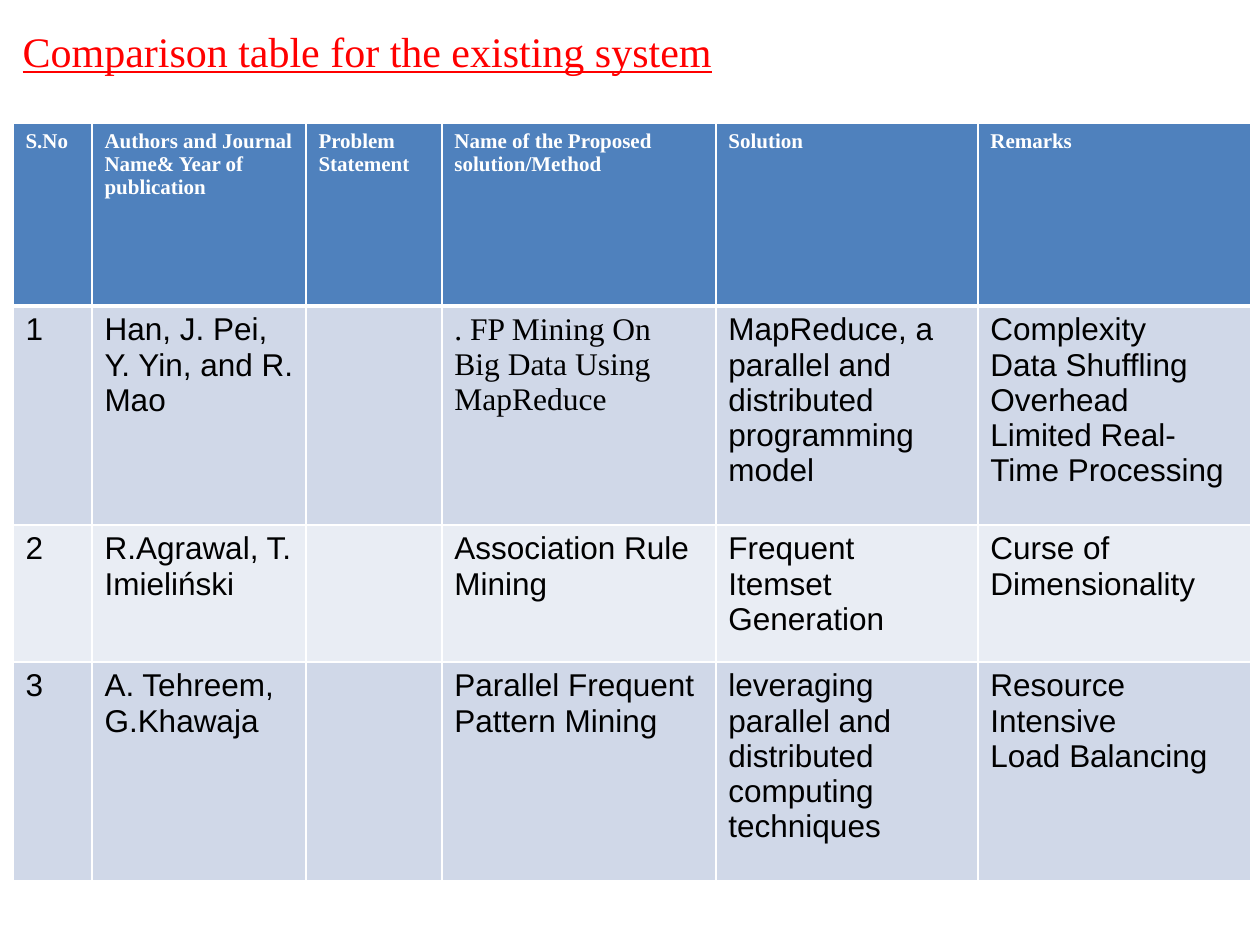
from typing import NamedTuple

from lxml.etree import SubElement
from pptx import Presentation
from pptx.dml.color import RGBColor
from pptx.enum.text import MSO_ANCHOR, PP_ALIGN
from pptx.oxml.ns import qn
from pptx.util import Emu, Pt

PX = 914400 / 126
RED = RGBColor(0xFF, 0x00, 0x00)
WHITE = RGBColor(0xFF, 0xFF, 0xFF)
BLACK = RGBColor(0x00, 0x00, 0x00)
BLUE = RGBColor(0x4F, 0x81, 0xBD)
BAND_DARK = RGBColor(0xD0, 0xD8, 0xE8)
BAND_LIGHT = RGBColor(0xE9, 0xED, 0xF4)
SERIF, SANS = "Times New Roman", "Arial"


class Style(NamedTuple):
    font: str
    size: int
    color: RGBColor
    bold: bool = False
    underline: bool = False


class Row(NamedTuple):
    height: int
    cells: list[str]


TITLE = Style(SERIF, 24, RED, underline=True)
HEADER = Style(SERIF, 12, WHITE, bold=True)
BODY = Style(SANS, 18, BLACK)
METHOD_SERIF = BODY._replace(font=SERIF)

COL_WIDTHS = [79, 214, 136, 274, 262, 273]
ROWS = [
    Row(183, ["S.No", "Authors and Journal Name& Year of publication", "Problem Statement",
              "Name of the Proposed solution/Method", "Solution", "Remarks"]),
    Row(219, ["1", "Han, J. Pei, Y. Yin, and R. Mao", "",
              ". FP Mining On Big Data Using MapReduce",
              "MapReduce, a parallel and distributed programming model",
              "Complexity\nData Shuffling Overhead\nLimited Real-Time Processing"]),
    Row(137, ["2", "R.Agrawal, T. Imieliński", "", "Association Rule Mining",
              "Frequent Itemset Generation", "Curse of Dimensionality"]),
    Row(219, ["3", "A. Tehreem, G.Khawaja", "", "Parallel Frequent Pattern Mining",
              "leveraging parallel and distributed computing techniques",
              "Resource Intensive\nLoad Balancing"]),
]


def px(n: int) -> Emu:
    return Emu(round(n * PX))


def write(tf, text: str, style: Style) -> None:
    """Write one paragraph per line of text."""
    for i, line in enumerate(text.split("\n")):
        p = tf.add_paragraph() if i else tf.paragraphs[0]
        p.alignment = PP_ALIGN.LEFT
        r = p.add_run()
        r.text = line
        font = r.font
        font.name, font.size = style.font, Pt(style.size)
        font.bold, font.underline = style.bold, style.underline
        font.color.rgb = style.color


def set_borders(cell, top: int, bottom: int) -> None:
    """Add white borders; they must come before the fill is set."""
    tc_pr = cell._tc.get_or_add_tcPr()
    for side, width in (("L", 1), ("R", 1), ("T", top), ("B", bottom)):
        ln = SubElement(tc_pr, qn(f"a:ln{side}"), w=str(Pt(width)))
        fill = SubElement(ln, qn("a:solidFill"))
        SubElement(fill, qn("a:srgbClr"), val=str(WHITE))


def add_title(s, text: str) -> None:
    sp = s.shapes.title
    sp.left, sp.top, sp.width, sp.height = px(10), px(19), px(1197), px(63)
    tf = sp.text_frame
    tf.word_wrap = True
    tf.vertical_anchor = MSO_ANCHOR.TOP
    write(tf, text, TITLE)


def add_comparison_table(s) -> None:
    height = sum(row.height for row in ROWS)
    table = s.shapes.add_table(len(ROWS), len(COL_WIDTHS), px(13), px(123),
                               px(sum(COL_WIDTHS)), px(height)).table
    for col, width in zip(table.columns, COL_WIDTHS):
        col.width = px(width)
    for i, row in enumerate(ROWS):
        table.rows[i].height = px(row.height)
        for j, text in enumerate(row.cells):
            cell = table.cell(i, j)
            set_borders(cell, top=3 if i == 1 else 1, bottom=3 if i == 0 else 1)
            cell.fill.solid()
            cell.fill.fore_color.rgb = BLUE if i == 0 else BAND_DARK if i % 2 else BAND_LIGHT
            style = HEADER if i == 0 else METHOD_SERIF if (i, j) == (1, 3) else BODY
            if text:
                write(cell.text_frame, text, style)


def main() -> None:
    prs = Presentation()
    prs.slide_width, prs.slide_height = px(1260), px(945)
    s = prs.slides.add_slide(prs.slide_layouts[5])
    add_title(s, "Comparison table for the existing system")
    add_comparison_table(s)
    prs.save("out.pptx")


if __name__ == "__main__":
    main()
